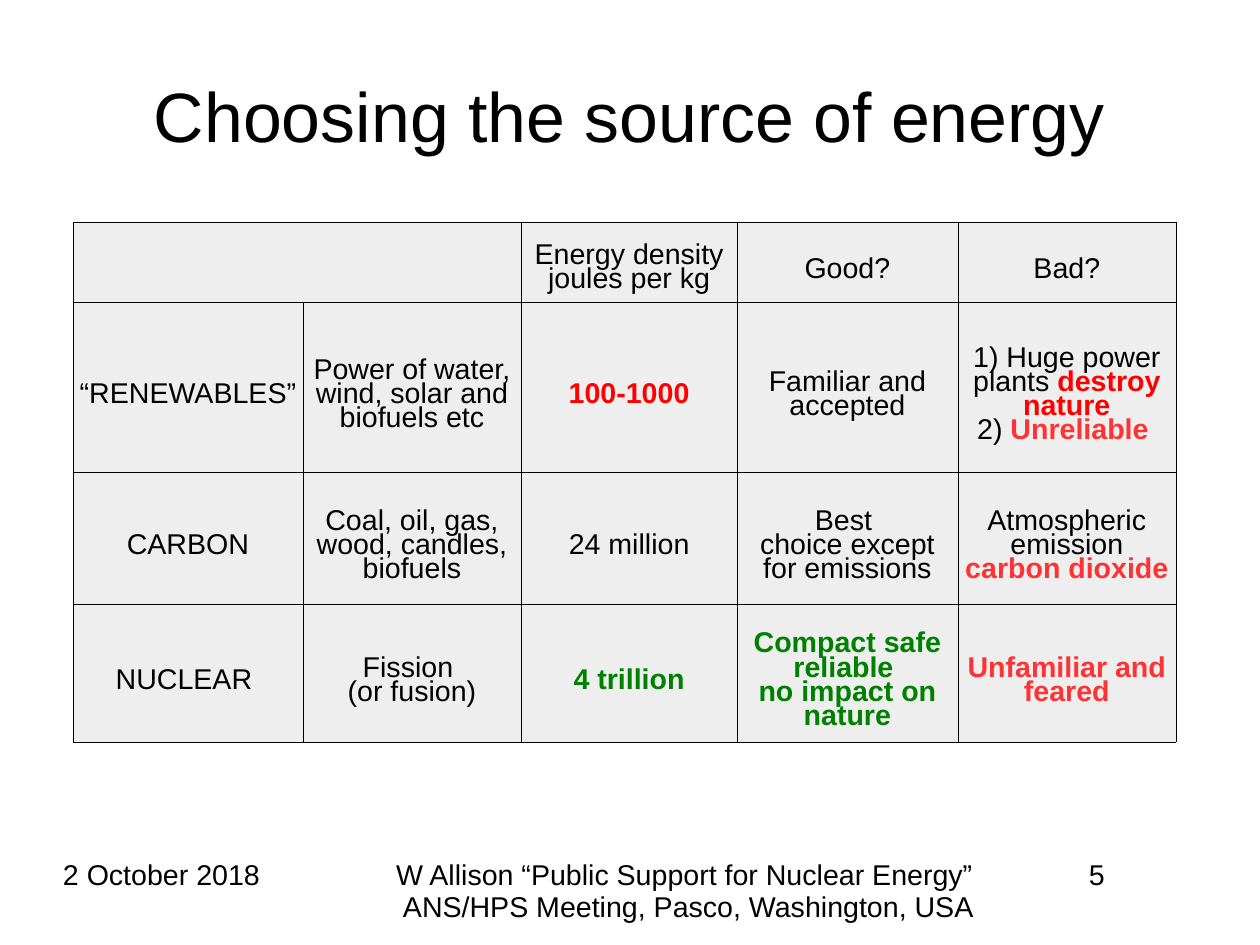
from lxml import etree
from pptx import Presentation, util as u
from pptx.dml.color import RGBColor
from pptx.enum import text as t
from pptx.oxml import ns

WIDE, HIGH = u.Cm(28), u.Cm(21)
FONT = "Arial"
COLORS = {"ink": "000000", "cell": "EEEEEE", "red": "FF0000",
          "coral": "FF3333", "green": "008000"}
LEFT, CENTER = t.PP_ALIGN.LEFT, t.PP_ALIGN.CENTER
TOP, MIDDLE = t.MSO_ANCHOR.TOP, t.MSO_ANCHOR.MIDDLE

# Percent of the slide: left, top, width, height
TITLE = (5, 4, 90, 16.67)
TABLE = (5.8, 23.53, 87.7, 54.9)
FOOT_TOP, FOOT_HIGH = 91, 6.8
FOOTER = [
    (5, 23.2, LEFT, "2 October 2018"),
    (26.42, 56.42, CENTER, "W Allison “Public Support for Nuclear Energy” \n"
                           "ANS/HPS Meeting, Pasco, Washington, USA"),
    (86.42, 8.5, LEFT, "5"),
]

# Inches
COLS = [2.01, 1.91, 1.89, 1.93, 1.91]
ROWS = [0.69, 1.49, 1.15, 1.21]

# A cell is plain text, or a list of (text, colour); coloured text is bold
CELLS = [
    ["", "", "Energy density joules per kg", "Good?", "Bad?"],
    ["“RENEWABLES”", "Power of water, wind, solar and biofuels etc",
     [("100-1000", "red")], "Familiar and accepted",
     [("1) Huge power plants ", "ink"), ("destroy nature\n", "red"),
      ("2) ", "ink"), ("Unreliable ", "coral")]],
    ["CARBON", "Coal, oil, gas, wood, candles, biofuels", "24 million",
     "Best \nchoice except for emissions",
     [("Atmospheric emission ", "ink"), ("carbon dioxide", "coral")]],
    ["NUCLEAR ", "Fission \n(or fusion)", [("4 trillion", "green")],
     [("Compact safe\nreliable \nno impact on nature", "green")],
     [("Unfamiliar and feared", "coral")]],
]


def place(box):
    """Turn percents of the slide into lengths."""
    return [u.Emu(int(part * size / 100))
            for part, size in zip(box, (WIDE, HIGH) * 2)]


def write(para, content, size, align, spacing):
    para.alignment, para.line_spacing = align, spacing
    runs = [(content, "ink")] if isinstance(content, str) else content
    for words, color in runs:
        for i, line in enumerate(words.split("\n")):
            if i:
                para.add_line_break()
            if not line:
                continue
            run = para.add_run()
            run.text = line
            look = {"name": FONT, "size": u.Pt(size), "bold": color != "ink"}
            for key, value in look.items():
                setattr(run.font, key, value)
            run.font.color.rgb = RGBColor.from_string(COLORS[color])


def label(slide, box, words, size, align, anchor=TOP, top=0):
    frame = slide.shapes.add_textbox(*place(box)).text_frame
    look = {"word_wrap": True, "vertical_anchor": anchor, "margin_left": 0,
            "margin_right": 0, "margin_top": u.Inches(top), "margin_bottom": 0}
    for key, value in look.items():
        setattr(frame, key, value)
    write(frame.paragraphs[0], words, size, align, 0.93)


def border(cell):
    props = cell._tc.get_or_add_tcPr()
    for i, side in enumerate("LRTB"):
        line = etree.Element(ns.qn("a:ln" + side), w=str(u.Pt(0.11)))
        fill = etree.SubElement(line, ns.qn("a:solidFill"))
        etree.SubElement(fill, ns.qn("a:srgbClr"), val=COLORS["ink"])
        props.insert(i, line)


def style(cell, content, anchor):
    edge = u.Inches(0.04)
    look = {"vertical_anchor": anchor, "margin_left": edge, "margin_right": edge,
            "margin_top": u.Inches(0.2), "margin_bottom": edge}
    for key, value in look.items():
        setattr(cell, key, value)
    cell.fill.solid()
    cell.fill.fore_color.rgb = RGBColor.from_string(COLORS["cell"])
    border(cell)
    write(cell.text_frame.paragraphs[0], content, 18, CENTER, 0.76)


def grid(slide):
    table = slide.shapes.add_table(len(ROWS), len(COLS), *place(TABLE)).table
    table.first_row = table.horz_banding = False
    for col, width in zip(table.columns, COLS):
        col.width = u.Inches(width)
    for row, height in zip(table.rows, ROWS):
        row.height = u.Inches(height)
    for r, row in enumerate(CELLS):
        for c, content in enumerate(row):
            style(table.cell(r, c), content, TOP if (r, c) == (0, 2) else MIDDLE)
    table.cell(0, 0).merge(table.cell(0, 1))


def main():
    deck = Presentation()
    deck.slide_width, deck.slide_height = WIDE, HIGH
    slide = deck.slides.add_slide(deck.slide_layouts[6])
    label(slide, TITLE, "Choosing the source of energy", 44, CENTER, MIDDLE, 0.04)
    grid(slide)
    for left, width, align, words in FOOTER:
        label(slide, (left, FOOT_TOP, width, FOOT_HIGH), words, 18, align)
    deck.save("out.pptx")


if __name__ == "__main__":
    main()
